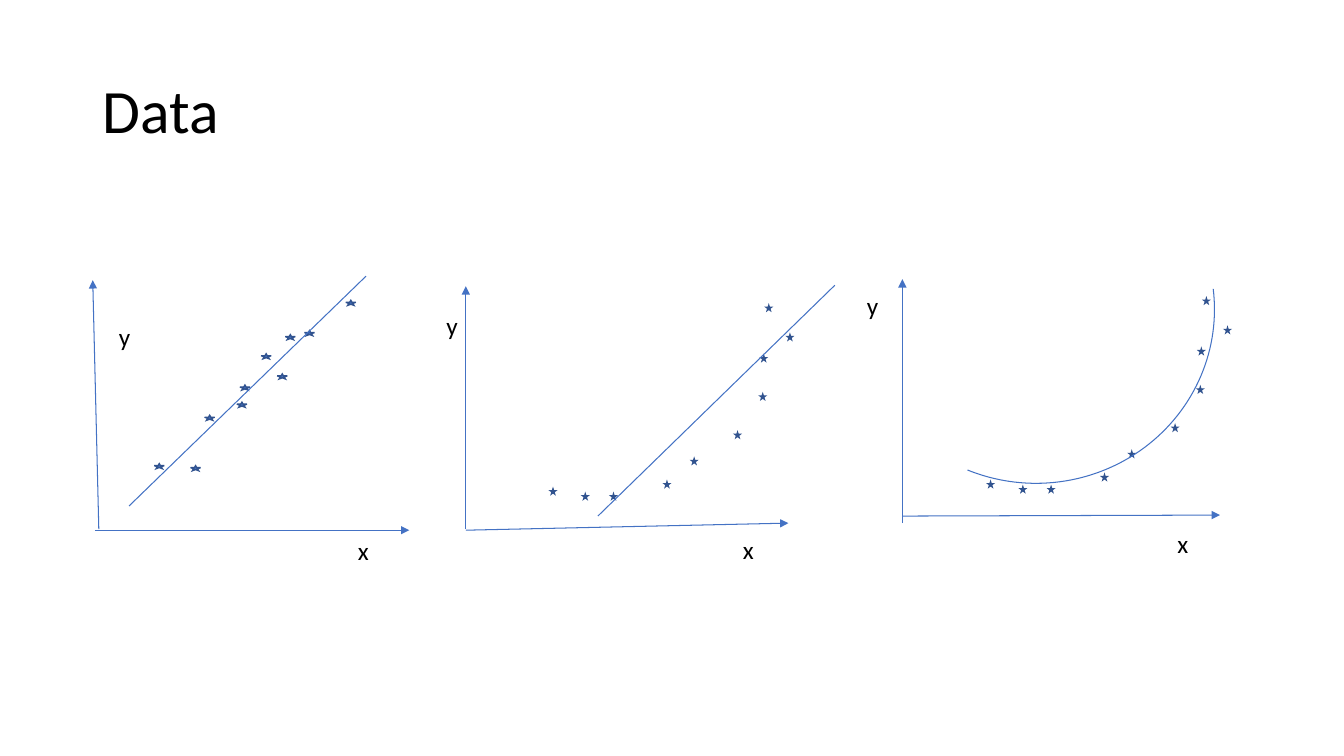
import dataclasses
import typing

import pptx
import pptx.dml.color
import pptx.enum.shapes
import pptx.enum.text
import pptx.oxml
import pptx.oxml.ns
import pptx.util

EMU_PER_PX = 9144
SHAPES = pptx.enum.shapes.MSO_SHAPE


class Point(typing.NamedTuple):
    x: int
    y: int


class Box(typing.NamedTuple):
    left: int
    top: int
    width: int
    height: int


class Segment(typing.NamedTuple):
    start: Point
    end: Point


@dataclasses.dataclass(frozen=True)
class Theme:
    font: str = "Calibri"
    text: str = "000000"
    accent: str = "4472C4"
    star_edge: str = "31538F"
    title_size: float = 44
    label_size: float = 18
    line_width: float = 0.75
    star_line_width: float = 1


@dataclasses.dataclass(frozen=True)
class Plot:
    x_axis: Segment
    y_axis: Segment
    x_label: Point
    y_label: Point
    star_width: int
    stars: list[Point]
    fit: Segment | None = None


THEME = Theme()
STAR_HEIGHT = 5
TITLE_BOX = Box(92, 40, 1150, 145)
FIT_ARC_BOX = Box(855, 130, 345, 354)
FIT_ARC_ANGLES = (158.021, 13.867)

LINEAR_STARS = [
    Point(153, 460), Point(189, 462), Point(203, 412), Point(235, 399), Point(238, 382),
    Point(259, 351), Point(275, 371), Point(283, 332), Point(302, 328), Point(343, 298),
]
CURVED_STARS = [
    Point(546, 485), Point(578, 490), Point(606, 490), Point(659, 478), Point(686, 455),
    Point(729, 429), Point(754, 391), Point(755, 353), Point(781, 332), Point(760, 303),
]
CURVED_SHIFT = Point(434, -7)

PLOTS = [
    Plot(
        x_axis=Segment(Point(94, 526), Point(406, 526)),
        y_axis=Segment(Point(98, 525), Point(92, 278)),
        x_label=Point(345, 526),
        y_label=Point(108, 314),
        star_width=10,
        stars=LINEAR_STARS,
        fit=Segment(Point(128, 502), Point(363, 274)),
    ),
    Plot(
        x_axis=Segment(Point(462, 526), Point(782, 519)),
        y_axis=Segment(Point(462, 525), Point(462, 284)),
        x_label=Point(727, 525),
        y_label=Point(433, 303),
        star_width=5,
        stars=CURVED_STARS,
        fit=Segment(Point(593, 512), Point(828, 283)),
    ),
    Plot(
        x_axis=Segment(Point(895, 512), Point(1210, 511)),
        y_axis=Segment(Point(895, 519), Point(895, 277)),
        x_label=Point(1158, 519),
        y_label=Point(850, 283),
        star_width=5,
        stars=[Point(x + CURVED_SHIFT.x, y + CURVED_SHIFT.y) for x, y in CURVED_STARS],
    ),
]


def emu(*lengths: int) -> list[pptx.util.Emu]:
    return [pptx.util.Emu(length * EMU_PER_PX) for length in lengths]


def rgb(value: str) -> pptx.dml.color.RGBColor:
    return pptx.dml.color.RGBColor.from_string(value)


def add_element(parent, tag: str, **attributes: str) -> None:
    child = pptx.oxml.parse_xml(f"<{tag} {pptx.oxml.ns.nsdecls('a')}/>")
    for name, value in attributes.items():
        child.set(name, value)
    parent.append(child)


def style_line(drawn, color: str, width: float) -> None:
    drawn.line.color.rgb = rgb(color)
    drawn.line.width = pptx.util.Pt(width)
    outline = drawn.element.spPr.find(pptx.oxml.ns.qn("a:ln"))
    add_element(outline, "a:miter", lim="800000")


def add_text(slide, box: Box, text: str, size: float):
    frame = slide.shapes.add_textbox(*emu(*box)).text_frame
    frame.word_wrap = True
    run = frame.paragraphs[0].add_run()
    run.text = text
    run.font.name = THEME.font
    run.font.size = pptx.util.Pt(size)
    run.font.color.rgb = rgb(THEME.text)
    return frame


def add_title(slide, text: str) -> None:
    frame = add_text(slide, TITLE_BOX, text, THEME.title_size)
    frame.vertical_anchor = pptx.enum.text.MSO_ANCHOR.MIDDLE
    frame.paragraphs[0].line_spacing = 0.9


def add_axis_label(slide, corner: Point, text: str) -> None:
    frame = add_text(slide, Box(*corner, 38, 40), text, THEME.label_size)
    frame.auto_size = pptx.enum.text.MSO_AUTO_SIZE.SHAPE_TO_FIT_TEXT


def add_segment(slide, segment: Segment, arrow: bool = False) -> None:
    connector = slide.shapes.add_connector(
        pptx.enum.shapes.MSO_CONNECTOR.STRAIGHT, *emu(*segment.start, *segment.end)
    )
    style_line(connector, THEME.accent, THEME.line_width)
    properties = connector.element.spPr
    if arrow:
        add_element(properties.find(pptx.oxml.ns.qn("a:ln")), "a:tailEnd", type="triangle")
    add_element(properties, "a:effectLst")


def add_star(slide, corner: Point, width: int) -> None:
    star = slide.shapes.add_shape(SHAPES.STAR_5_POINT, *emu(*corner, width, STAR_HEIGHT))
    star.shadow.inherit = False
    star.fill.solid()
    star.fill.fore_color.rgb = rgb(THEME.accent)
    style_line(star, THEME.star_edge, THEME.star_line_width)


def add_fit_arc(slide) -> None:
    arc = slide.shapes.add_shape(SHAPES.ARC, *emu(*FIT_ARC_BOX))
    arc.shadow.inherit = False
    arc.rotation = 90
    for index, angle in enumerate(FIT_ARC_ANGLES):
        arc.adjustments[index] = angle
    arc.fill.background()
    style_line(arc, THEME.accent, THEME.line_width)


def add_plot(slide, plot: Plot) -> None:
    add_segment(slide, plot.x_axis, arrow=True)
    add_segment(slide, plot.y_axis, arrow=True)
    for star in plot.stars:
        add_star(slide, star, plot.star_width)
    if plot.fit:
        add_segment(slide, plot.fit)
    add_axis_label(slide, plot.x_label, "x")
    add_axis_label(slide, plot.y_label, "y")


def main() -> None:
    presentation = pptx.Presentation()
    presentation.slide_width, presentation.slide_height = emu(1333, 750)
    slide = presentation.slides.add_slide(presentation.slide_layouts[6])
    add_title(slide, "Data")
    for plot in PLOTS:
        add_plot(slide, plot)
    add_fit_arc(slide)
    presentation.save("out.pptx")


if __name__ == "__main__":
    main()
